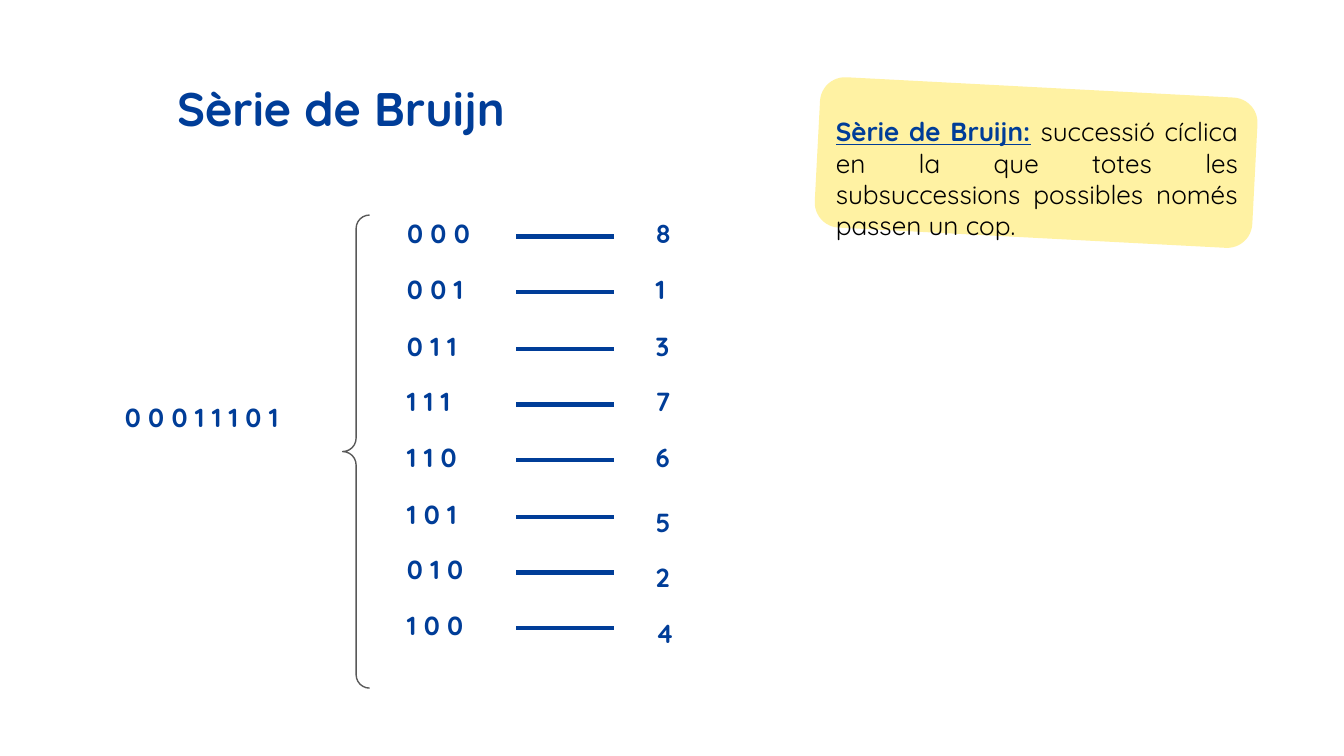
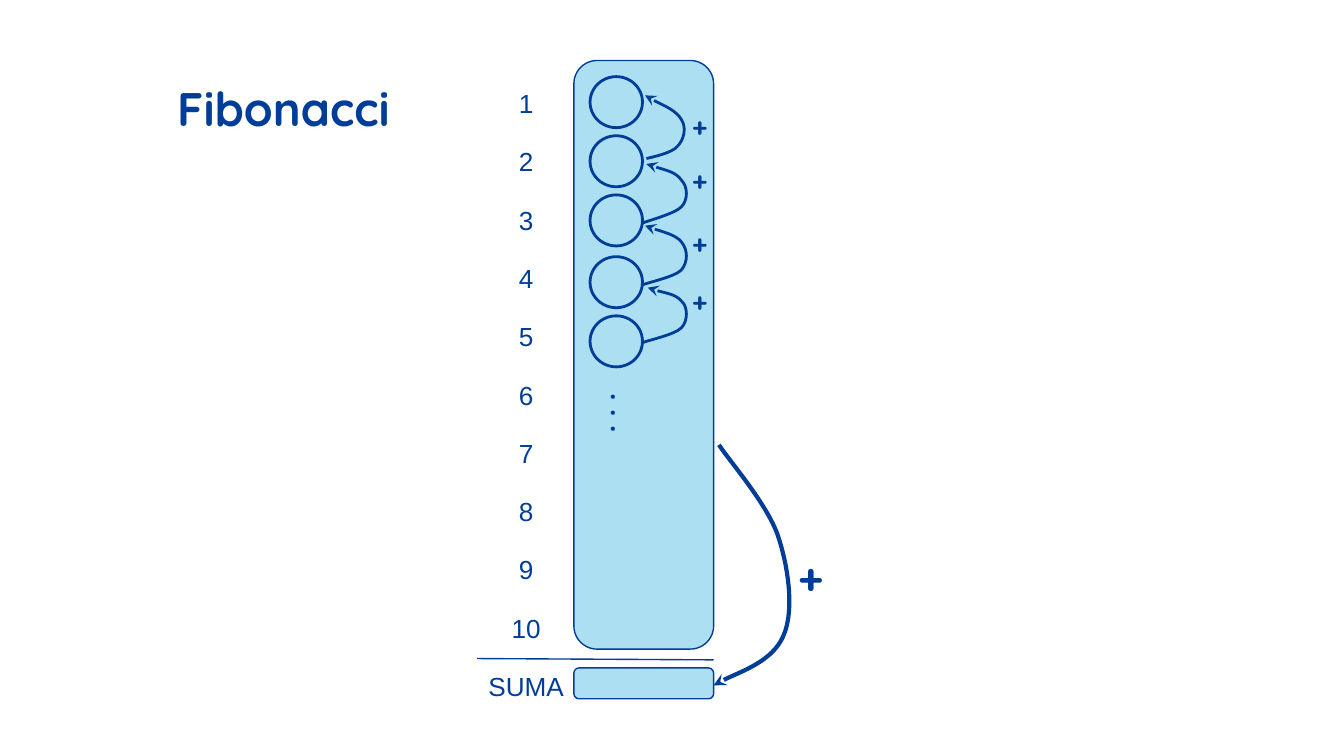
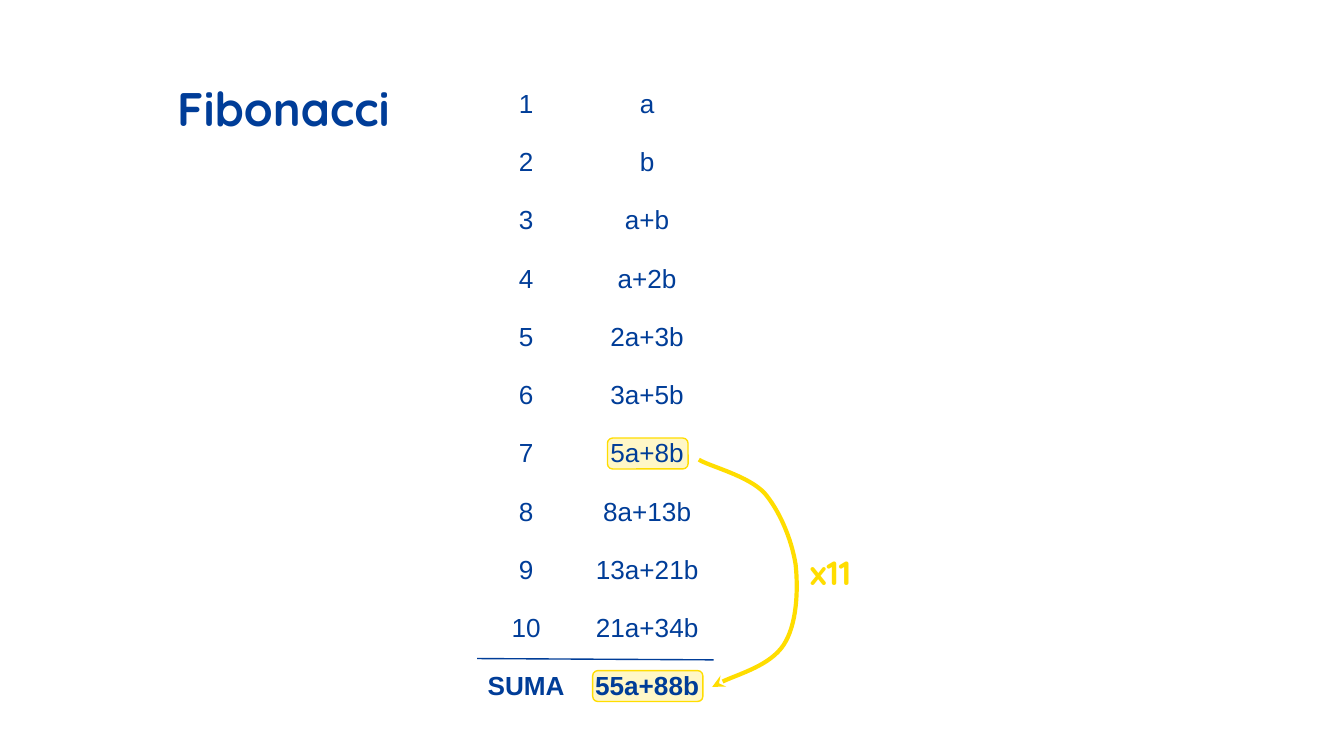
from dataclasses import dataclass
from typing import Optional

from lxml import etree
from pptx import Presentation
from pptx.dml.color import RGBColor
from pptx.enum.shapes import MSO_CONNECTOR, MSO_SHAPE
from pptx.enum.text import MSO_ANCHOR, MSO_AUTO_SIZE, PP_ALIGN
from pptx.oxml.ns import qn
from pptx.util import Pt

PX = 4572
SLIDE_WIDTH, SLIDE_HEIGHT = 2000, 1125
BLANK_LAYOUT = 6
INSET = 20

NAVY, SKY, YELLOW, BLACK, GREY = "003D98", "009DDB", "FFDD00", "000000", "595959"
DISPLAY_FONT, TABLE_FONT = "Quicksand", "Arial"

LEFT, CENTER, JUSTIFY = PP_ALIGN.LEFT, PP_ALIGN.CENTER, PP_ALIGN.JUSTIFY
TOP, MIDDLE = MSO_ANCHOR.TOP, MSO_ANCHOR.MIDDLE
GROW, FIXED = MSO_AUTO_SIZE.SHAPE_TO_FIT_TEXT, MSO_AUTO_SIZE.NONE
ROUNDED, OVAL, BRACE = MSO_SHAPE.ROUNDED_RECTANGLE, MSO_SHAPE.OVAL, MSO_SHAPE.LEFT_BRACE
STRAIGHT, CURVED = MSO_CONNECTOR.STRAIGHT, MSO_CONNECTOR.CURVE

Point = tuple[int, int]


@dataclass
class Area:
    left: int
    top: int
    width: int
    height: int

    def emu(self) -> list[int]:
        return [length * PX for length in (self.left, self.top, self.width, self.height)]


@dataclass
class Label:
    text: str
    area: Area
    size: float = 14
    color: str = NAVY
    align: PP_ALIGN = LEFT
    anchor: MSO_ANCHOR = TOP
    fit: MSO_AUTO_SIZE = GROW
    rotation: int = 0


@dataclass
class Block:
    area: Area
    preset: MSO_SHAPE = ROUNDED
    fill: Optional[str] = None
    opacity: int = 100
    line: Optional[str] = NAVY
    weight: float = 0.75
    rotation: int = 0


@dataclass
class Arc:
    points: list[Point]
    color: str = NAVY
    weight: float = 1.5


@dataclass
class Window:
    bits: str
    value: str
    bits_width: int = 572
    value_width: int = 90
    value_drop: int = 0


TITLE_AREA = Area(244, 98, 1688, 126)
COLUMN_WIDTHS = (158, 202)
TABLE_LEFT, TABLE_TOP, TABLE_HEIGHT = 704, 112, 954

WINDOWS = [
    Window("0 0 0", "8", 490, 120),
    Window("0 0 1", "1", 528, 146),
    Window("0 1 1", "3"),
    Window("1 1 1", "7"),
    Window("1 1 0", "6"),
    Window("1 0 1", "5", value_drop=12),
    Window("0 1 0", "2", value_drop=12),
    Window("1 0 0", "4", value_drop=12),
]

TERM_TOPS = (114, 202, 290, 382, 470)
PLUS_TOPS = (154, 234, 328, 414)
SUM_ARCS = [
    Arc([(962, 236), (970, 234), (1000, 228), (1008, 218), (1018, 208), (1022, 190),
         (1014, 178), (1006, 164), (968, 148), (960, 142)]),
    Arc([(956, 332), (966, 328), (1004, 318), (1014, 308), (1024, 298), (1024, 278),
         (1014, 268), (1006, 256), (972, 248), (962, 244)]),
    Arc([(956, 424), (966, 420), (1004, 412), (1014, 402), (1024, 390), (1024, 372),
         (1014, 360), (1006, 350), (970, 340), (960, 336)]),
    Arc([(956, 510), (966, 506), (1004, 498), (1014, 488), (1024, 478), (1024, 456),
         (1014, 448), (1006, 438), (972, 432), (964, 428)]),
]
TOTAL_ARC = Arc([(1070, 662), (1084, 684), (1142, 750), (1158, 798), (1174, 846), (1182, 910),
                 (1166, 946), (1150, 984), (1080, 1008), (1062, 1020)], weight=2.25)
TIMES_ARC = Arc([(1040, 684), (1056, 694), (1114, 708), (1138, 734), (1160, 760), (1178, 802),
                 (1184, 840), (1188, 878), (1186, 930), (1166, 960), (1146, 990), (1078, 1010),
                 (1060, 1022)], YELLOW, 2.25)

INDEXES = [str(number) for number in range(1, 11)] + ["SUMA"]
TERMS = ["a", "b", "a+b", "a+2b", "2a+3b", "3a+5b", "5a+8b", "8a+13b", "13a+21b",
         "21a+34b", "55a+88b"]


def rgb(color: str) -> RGBColor:
    return RGBColor.from_string(color)


def set_font(font, size: float, color: str, bold: bool, name: str = DISPLAY_FONT) -> None:
    font.name = name
    font.size = Pt(size)
    font.bold = bold
    font.color.rgb = rgb(color)


def set_line(line, color: str, weight: float) -> None:
    line.color.rgb = rgb(color)
    line.width = Pt(weight)


def add_label(slide, label: Label):
    box = slide.shapes.add_textbox(*label.area.emu())
    box.rotation = label.rotation
    frame = box.text_frame
    frame.word_wrap = True
    frame.auto_size = label.fit
    frame.vertical_anchor = label.anchor
    frame.margin_left = frame.margin_right = INSET * PX
    frame.margin_top = frame.margin_bottom = INSET * PX
    paragraph = frame.paragraphs[0]
    paragraph.text = label.text
    paragraph.alignment = label.align
    set_font(paragraph.font, label.size, label.color, True)
    return paragraph


def add_plus(slide, left: int, top: int, size: int = 14) -> None:
    add_label(slide, Label("+", Area(left, top, 62, 68), size, align=CENTER,
                           anchor=MIDDLE, fit=FIXED))


def add_block(slide, block: Block):
    shape = slide.shapes.add_shape(block.preset, *block.area.emu())
    shape.shadow.inherit = False
    shape.rotation = block.rotation
    if block.fill:
        shape.fill.solid()
        shape.fill.fore_color.rgb = rgb(block.fill)
        tint = shape.fill._xPr.find(qn("a:solidFill")).find(qn("a:srgbClr"))
        etree.SubElement(tint, qn("a:alpha")).set("val", str(block.opacity * 1000))
    else:
        shape.fill.background()
    if block.line:
        set_line(shape.line, block.line, block.weight)
    else:
        shape.line.fill.background()
    return shape


def add_connector(slide, kind: MSO_CONNECTOR, start: Point, end: Point, weight: float) -> None:
    connector = slide.shapes.add_connector(kind, *[length * PX for length in start + end])
    set_line(connector.line, NAVY, weight)
    etree.SubElement(connector._element.spPr, qn("a:effectLst"))


def add_arc(slide, arc: Arc) -> None:
    builder = slide.shapes.build_freeform(*arc.points[0], scale=PX)
    builder.add_line_segments(arc.points[1:], close=False)
    shape = builder.convert_to_shape()
    shape.shadow.inherit = False
    shape.fill.background()
    set_line(shape.line, arc.color, arc.weight)
    segments = list(shape._element.spPr.iter(qn("a:lnTo")))
    for first in range(0, len(segments), 3):
        curve = etree.Element(qn("a:cubicBezTo"))
        segments[first].addprevious(curve)
        for segment in segments[first:first + 3]:
            curve.append(segment[0])
            segment.getparent().remove(segment)
    etree.SubElement(shape.line._get_or_add_ln(), qn("a:tailEnd")).set("type", "stealth")


def add_sequence_table(slide, columns: list[list[str]], bold_total: bool) -> None:
    widths = COLUMN_WIDTHS[:len(columns)]
    area = Area(TABLE_LEFT, TABLE_TOP, sum(widths), TABLE_HEIGHT)
    table = slide.shapes.add_table(len(INDEXES), len(columns), *area.emu()).table
    table.first_row = table.horz_banding = False
    for column, width in zip(table.columns, widths):
        column.width = width * PX
    for row_number, texts in enumerate(zip(*columns)):
        is_total = row_number == len(INDEXES) - 1
        for cell, text in zip(table.rows[row_number].cells, texts):
            properties = cell._tc.get_or_add_tcPr()
            for side in ("a:lnL", "a:lnR", "a:lnT", "a:lnB"):
                etree.SubElement(etree.SubElement(properties, qn(side)), qn("a:noFill"))
            cell.fill.background()
            cell.vertical_anchor = MIDDLE
            cell.margin_left = cell.margin_right = INSET * PX
            cell.margin_top = cell.margin_bottom = INSET * PX
            paragraph = cell.text_frame.paragraphs[0]
            paragraph.text = text
            paragraph.alignment = CENTER
            set_font(paragraph.font, 14, NAVY, bold_total and is_total, TABLE_FONT)
    add_connector(slide, STRAIGHT, (710, 980), (1062, 982), 0.75)


def add_titled_slide(deck, title: str):
    slide = deck.slides.add_slide(deck.slide_layouts[BLANK_LAYOUT])
    add_label(slide, Label(title, TITLE_AREA, 25.2, fit=FIXED))
    return slide


def add_definition(slide) -> None:
    add_block(slide, Block(Area(1216, 130, 652, 224), fill=YELLOW, opacity=36, line=None,
                           rotation=3))
    paragraph = add_label(slide, Label("Sèrie de Bruijn:", Area(1224, 152, 638, 182),
                                       align=JUSTIFY))
    paragraph.runs[0].font.underline = True
    paragraph.add_run().text = " "
    meaning = paragraph.add_run()
    meaning.text = ("successió cíclica en la que totes les subsuccessions possibles "
                    "només passen un cop.")
    set_font(meaning.font, 14, BLACK, False)


def build_bruijn(deck) -> None:
    slide = add_titled_slide(deck, "Sèrie de Bruijn")
    add_definition(slide)
    add_label(slide, Label("0 0 0 1 1 1 0 1", Area(166, 578, 938, 88)))
    brace = add_block(slide, Block(Area(510, 320, 40, 704), BRACE, line=GREY))
    brace.adjustments[0] = brace.adjustments[1] = 0.5
    for number, window in enumerate(WINDOWS):
        top = 304 + round(number * 250 / 3)
        add_label(slide, Label(window.bits, Area(586, top, window.bits_width, 88)))
        add_connector(slide, CURVED, (768, top + 48), (914, top + 48), 2.25)
        add_label(slide, Label(window.value, Area(956, top + window.value_drop,
                                                  window.value_width, 88)))


def build_adding(deck) -> None:
    slide = add_titled_slide(deck, "Fibonacci")
    for area in (Area(854, 90, 208, 876), Area(854, 994, 208, 46)):
        add_block(slide, Block(area, fill=SKY, opacity=32))
    for top in TERM_TOPS:
        add_block(slide, Block(Area(878, top, 78, 76), OVAL, weight=1.5))
    for arc, top in zip(SUM_ARCS, PLUS_TOPS):
        add_arc(slide, arc)
        add_plus(slide, 1010, top)
    add_label(slide, Label(". . .", Area(868, 576, 118, 78), 16, align=CENTER,
                           anchor=MIDDLE, fit=FIXED, rotation=90))
    add_arc(slide, TOTAL_ARC)
    add_plus(slide, 1168, 824, 23)
    add_sequence_table(slide, [INDEXES], False)


def build_formula(deck) -> None:
    slide = add_titled_slide(deck, "Fibonacci")
    for area in (Area(882, 998, 164, 46), Area(904, 652, 120, 46)):
        add_block(slide, Block(area, fill=YELLOW, opacity=22, line=YELLOW))
    add_sequence_table(slide, [INDEXES, TERMS], True)
    add_arc(slide, TIMES_ARC)
    add_label(slide, Label("x11", Area(1186, 802, 136, 100), 18, YELLOW))


def main() -> None:
    deck = Presentation()
    deck.slide_width = SLIDE_WIDTH * PX
    deck.slide_height = SLIDE_HEIGHT * PX
    build_bruijn(deck)
    build_adding(deck)
    build_formula(deck)
    deck.save("out.pptx")


if __name__ == "__main__":
    main()
